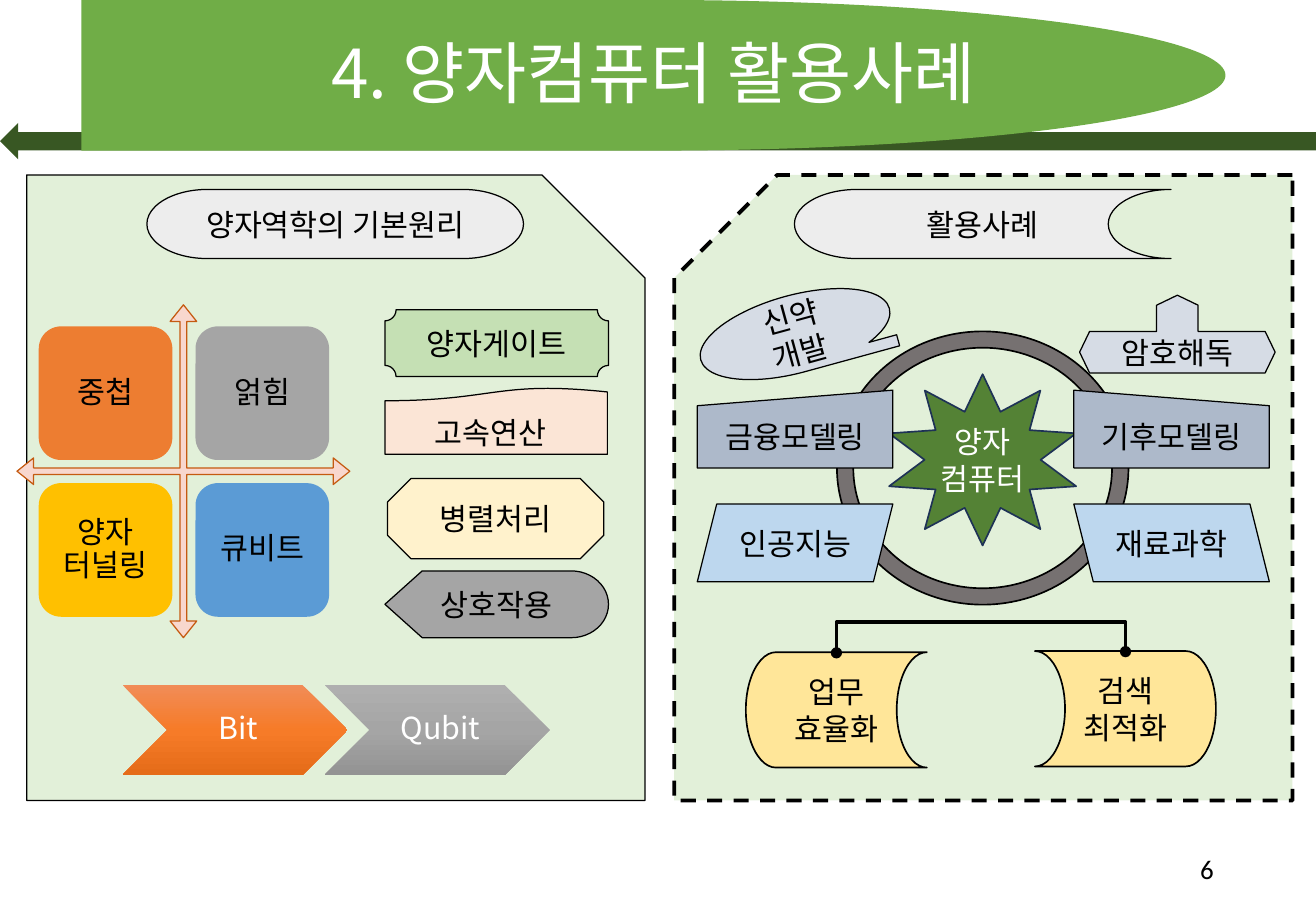
from dataclasses import dataclass

import copy
import lxml.etree
import pptx
import pptx.dml.color
import pptx.enum.dml
import pptx.enum.shapes
import pptx.enum.text
import pptx.oxml.ns
import pptx.util

Pt = pptx.util.Pt
Kind = pptx.enum.shapes.MSO_SHAPE
Align = pptx.enum.text.PP_ALIGN
qn = pptx.oxml.ns.qn

KOREAN_FONT = "Noto Sans CJK KR"
BLACK, WHITE = "000000", "FFFFFF"
PANEL_GREEN = "E2F0D9"


@dataclass
class Block:
    """A preset shape; several fill colours make a vertical gradient."""
    kind: Kind
    left: float
    top: float
    width: float
    height: float
    fill: str | tuple[str, ...]
    text: str = ""
    text_color: str = BLACK
    line_color: str = BLACK
    line_width: float = 0.75
    dashed: bool = False
    flipped: bool = False
    rotation: float = 0
    adjustments: tuple[float, ...] = ()
    margins: tuple[float, float, float, float] = (7.2, 3.6, 7.2, 3.6)
    line_spacing: float = 1.0
    wrap: bool = True


def rgb(color: str) -> pptx.dml.color.RGBColor:
    return pptx.dml.color.RGBColor.from_string(color)


def write_text(text_frame, text: str, size: float = 18, color: str = BLACK,
               align: Align = Align.CENTER, line_spacing: float = 1.0,
               font: str = KOREAN_FONT, wrap: bool = True) -> None:
    text_frame.text = text
    text_frame.word_wrap = wrap
    text_frame.vertical_anchor = pptx.enum.text.MSO_ANCHOR.MIDDLE
    for paragraph in text_frame.paragraphs:
        paragraph.alignment = align
        paragraph.line_spacing = line_spacing
        paragraph.font.size = Pt(size)
        paragraph.font.name = font
        paragraph.font.color.rgb = rgb(color)
        defaults = paragraph._p.pPr.find(qn("a:defRPr"))
        lxml.etree.SubElement(defaults, qn("a:ea")).set("typeface", font)


def fill_gradient(shape, colors: tuple[str, ...]) -> None:
    """Spread the colours evenly from top to bottom."""
    shape.fill.gradient()
    shape.fill.gradient_angle = 270
    stop_list = shape._element.spPr.find(".//" + qn("a:gsLst"))
    while len(stop_list) < len(colors):
        stop_list.append(copy.deepcopy(stop_list[-1]))
    for index, stop in enumerate(shape.fill.gradient_stops):
        stop.position = index / (len(colors) - 1)
        stop.color.rgb = rgb(colors[index])


def draw_block(slide, block: Block) -> None:
    shape = slide.shapes.add_shape(block.kind, Pt(block.left), Pt(block.top),
                                   Pt(block.width), Pt(block.height))
    shape.shadow.inherit = False
    shape.rotation = block.rotation
    for index, value in enumerate(block.adjustments):
        shape.adjustments[index] = value
    if block.flipped:
        shape._element.spPr.find(qn("a:xfrm")).set("flipH", "1")
    if isinstance(block.fill, tuple):
        fill_gradient(shape, block.fill)
    else:
        shape.fill.solid()
        shape.fill.fore_color.rgb = rgb(block.fill)
    if block.line_width:
        shape.line.color.rgb = rgb(block.line_color)
        shape.line.width = Pt(block.line_width)
        if block.dashed:
            shape.line.dash_style = pptx.enum.dml.MSO_LINE.DASH
    else:
        shape.line.fill.background()
    if block.text:
        frame = shape.text_frame
        (frame.margin_left, frame.margin_top,
         frame.margin_right, frame.margin_bottom) = map(Pt, block.margins)
        write_text(frame, block.text, color=block.text_color,
                   line_spacing=block.line_spacing, wrap=block.wrap)


def draw_text(slide, left: float, top: float, width: float, height: float,
              text: str, **style) -> None:
    box = slide.shapes.add_textbox(Pt(left), Pt(top), Pt(width), Pt(height))
    write_text(box.text_frame, text, **style)


def draw_bracket(slide) -> None:
    """Join the two benefit shapes with an elbow line, turned to rise above them."""
    connector = slide.shapes.add_connector(
        pptx.enum.shapes.MSO_CONNECTOR.ELBOW,
        Pt(581.76), Pt(472.32), Pt(581.04), Pt(300.96))
    connector.line.color.rgb = rgb(BLACK)
    connector.line.width = Pt(2.25)
    properties = connector._element.spPr
    properties.find(qn("a:xfrm")).set("rot", str(90 * 60000))
    guides = properties.find(qn("a:prstGeom")).get_or_add_avLst()
    guide = lxml.etree.SubElement(guides, qn("a:gd"))
    guide.set("name", "adj1")
    guide.set("fmla", "val 2553600")
    line = properties.find(qn("a:ln"))
    for end in ("a:headEnd", "a:tailEnd"):
        lxml.etree.SubElement(line, qn(end)).set("type", "oval")
    lxml.etree.SubElement(properties, qn("a:effectLst"))


def header_and_panels() -> list[Block]:
    panel = (103.7, 366.5, 370.8, PANEL_GREEN)
    return [
        Block(Kind.LEFT_ARROW, 0, 72.9, 780, 21.6, "385723", line_width=0),
        Block(Kind.FLOWCHART_DELAY, 48.2, 0, 678.2, 89.3, "70AD47", line_width=0),
        Block(Kind.SNIP_1_RECTANGLE, 399.6, *panel, line_width=2.25,
              dashed=True, flipped=True),
        Block(Kind.SNIP_1_RECTANGLE, 15.8, *panel),
        Block(Kind.FLOWCHART_TERMINATOR, 87.1, 112.3, 223.2, 41, "EDEDED",
              "양자역학의 기본원리"),
        Block(Kind.FLOWCHART_STORED_DATA, 470.9, 112.3, 223.2, 41, "EDEDED", "활용사례"),
    ]


def principles() -> list[Block]:
    chevrons = [("Bit", ("F18C57", "F67B28", "E56C19")),
                ("Qubit", ("AFAFAF", "A5A5A5", "939393"))]
    tiles = [("중첩", "ED7D31"), ("얽힘", "A5A5A5"),
             ("양자\v터널링", "FFC000"), ("큐비트", "5B9BD5")]
    blocks = [
        Block(Kind.CHEVRON, 72.7 + 119.8 * column, 406.1, 133.2, 53.3, fill, text,
              WHITE, line_width=0, margins=(5.8, 2, 2, 2), line_spacing=0.9)
        for column, (text, fill) in enumerate(chevrons)]
    blocks += [
        Block(Kind.PLAQUE, 228.2, 183.6, 132.5, 39.6, "C5E0B4", "양자게이트"),
        Block(Kind.FLOWCHART_DOCUMENT, 228.2, 229.7, 131.8, 39.6, "FBE5D6", rotation=180),
        Block(Kind.OCTAGON, 229.7, 283.7, 128.2, 47.5, "FFF2CC", "병렬처리"),
        Block(Kind.FLOWCHART_DISPLAY, 228.2, 338.4, 132.5, 39.6, "A5A5A5", "상호작용"),
        Block(Kind.QUAD_ARROW, 10.1, 180.7, 197.3, 197.3, "F8D7CE",
              line_color="C55A11", adjustments=(0.02, 0.04, 0.05)),
    ]
    for index, (text, fill) in enumerate(tiles):
        row, column = divmod(index, 2)
        blocks.append(Block(Kind.ROUNDED_RECTANGLE, 23 + 92.9 * column,
                            193.5 + 92.9 * row, 79.2, 79.2, fill, text,
                            line_width=0, margins=(5, 5, 5, 5), line_spacing=0.9))
    return blocks


def applications() -> list[Block]:
    left, right, size = 413.3, 636.5, (115.9, 46.1)
    blocks = [
        Block(Kind.DONUT, 496.1, 196.4, 172.8, 162, "767171", line_width=1,
              adjustments=(0.06,)),
        Block(Kind.STAR_10_POINT, 527, 221.8, 110.9, 101.5, "548235", "양자\n컴퓨터",
              WHITE, "1E3256", 1, adjustments=(0.295,), wrap=False),
        Block(Kind.FLOWCHART_SEQUENTIAL_ACCESS_STORAGE, left, 175, *size, "D6DCE5",
              "신약\n개발", rotation=344.7),
        Block(Kind.LEFT_RIGHT_UP_ARROW, 639.9, 175, *size, "D6DCE5", "암호해독",
              adjustments=(0.534, 0.267, 0.129)),
    ]
    mirrored_rows = [
        (Kind.FLOWCHART_MANUAL_INPUT, 231.3, "ADB9CA", "금융모델링", "기후모델링"),
        (Kind.PARALLELOGRAM, 298.8, "BDD7EE", "인공지능", "재료과학"),
    ]
    for kind, top, fill, left_text, right_text in mirrored_rows:
        blocks.append(Block(kind, left, top, *size, fill, left_text))
        blocks.append(Block(kind, right, top, *size, fill, right_text, flipped=True))
    benefit = (107.3, 68.4, "FFE699")
    blocks += [
        Block(Kind.FLOWCHART_STORED_DATA, 613.4, 385.9, *benefit, "검색\n최적화",
              line_width=1, flipped=True),
        Block(Kind.FLOWCHART_STORED_DATA, 442.1, 386.6, *benefit, "업무\n효율화",
              line_width=1),
    ]
    return blocks


def main() -> None:
    presentation = pptx.Presentation()
    presentation.slide_width, presentation.slide_height = Pt(780), Pt(540)
    slide = presentation.slides.add_slide(presentation.slide_layouts[6])
    for block in header_and_panels() + principles() + applications():
        draw_block(slide, block)
    draw_bracket(slide)
    draw_text(slide, 48.2, 1.4, 678.2, 87.8, "4. 양자컴퓨터 활용사례", size=40,
              color=WHITE, line_spacing=0.9)
    draw_text(slide, 250.6, 241.9, 87.1, 28.8, "고속연산", align=Align.LEFT, wrap=False)
    draw_text(slide, 550.8, 500.4, 175.7, 28.8, "6", size=16, align=Align.RIGHT,
              font="Calibri")
    presentation.save("out.pptx")


if __name__ == "__main__":
    main()
